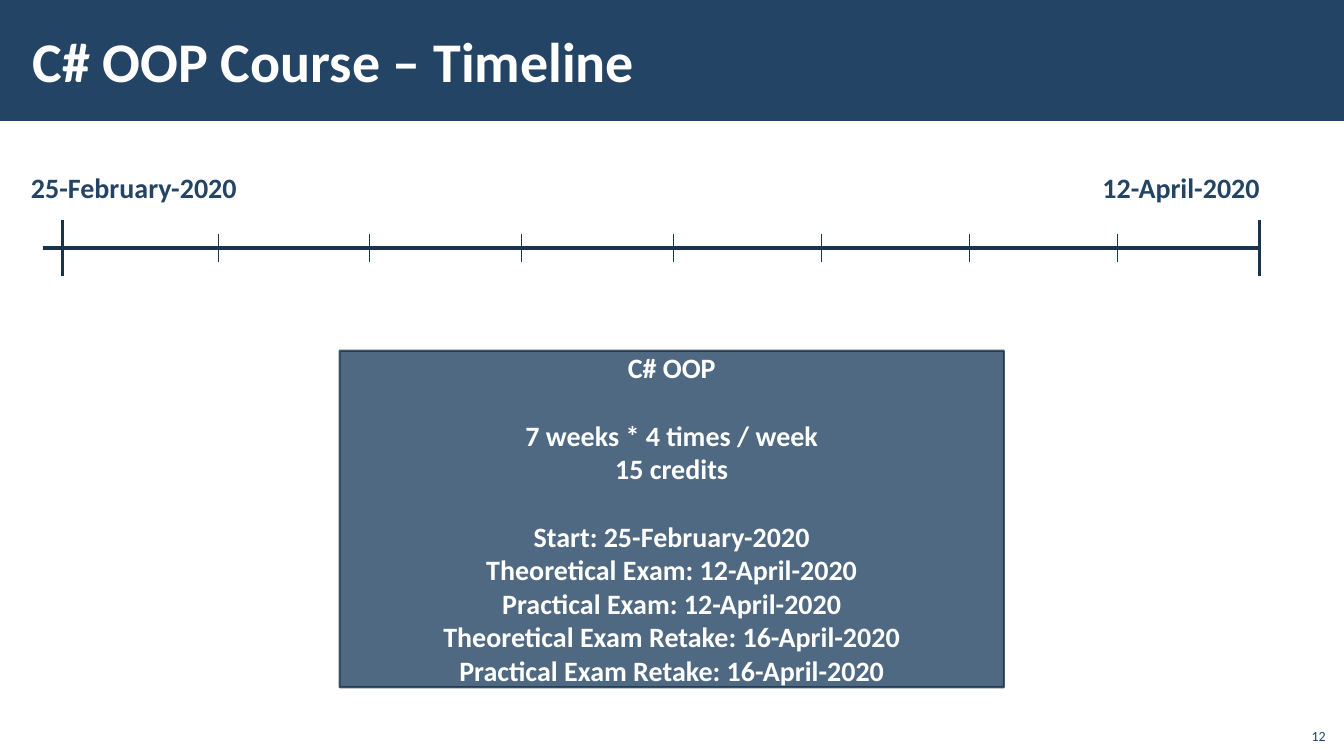
import pptx
import pptx.util
import pptx.dml.color
import pptx.enum.shapes
import pptx.enum.text
import pptx.oxml.ns
import lxml.etree

Cm = pptx.util.Cm
Pt = pptx.util.Pt
RGBColor = pptx.dml.color.RGBColor
Align = pptx.enum.text.PP_ALIGN
Anchor = pptx.enum.text.MSO_ANCHOR
RECTANGLE = pptx.enum.shapes.MSO_SHAPE.RECTANGLE
STRAIGHT = pptx.enum.shapes.MSO_CONNECTOR.STRAIGHT
qn = pptx.oxml.ns.qn

COLORS = {"navy": "234465", "line": "1A334C", "white": "FFFFFF"}


def write_text(shape, text, size=20, color="navy", bold=True,
               align=Align.LEFT, anchor=Anchor.TOP, gaps=()):
    """Fill a shape with one paragraph per line; lines numbered in gaps get space above."""
    frame = shape.text_frame
    frame.word_wrap = True
    frame.vertical_anchor = anchor
    for index, line in enumerate(text.split("\n")):
        paragraph = frame.paragraphs[0] if index == 0 else frame.add_paragraph()
        paragraph.alignment = align
        if index in gaps:
            paragraph.space_before = Pt(24)
        run = paragraph.add_run()
        run.text = line
        run.font.name = "Calibri"
        run.font.size = Pt(size)
        run.font.bold = bold
        run.font.color.rgb = RGBColor.from_string(COLORS[color])


presentation = pptx.Presentation()
presentation.slide_width = Cm(33.87)
presentation.slide_height = Cm(19.05)
slide = presentation.slides.add_slide(presentation.slide_layouts[6])
shapes = slide.shapes

# Title band
band = shapes.add_shape(RECTANGLE, 0, 0, presentation.slide_width, Cm(3.05))
band.shadow.inherit = False
band.fill.solid()
band.fill.fore_color.rgb = RGBColor.from_string(COLORS["navy"])
band.line.fill.background()

title = shapes.add_textbox(Cm(0.53), Cm(0.28), Cm(27), Cm(2.46))
title.text_frame.margin_left = title.text_frame.margin_right = Cm(0.3)
write_text(title, "C# OOP Course – Timeline", size=40, color="white",
           anchor=Anchor.MIDDLE)

# Dates at both ends of the timeline
for date, left, width, align in [
    ("25-February-2020", 0.53, 5.77, Align.LEFT),
    ("12-April-2020", 27.15, 4.85, Align.RIGHT),
]:
    label = shapes.add_textbox(Cm(left), Cm(4.17), Cm(width), Cm(1.11))
    write_text(label, date, align=align)

# Course card
card = shapes.add_shape(RECTANGLE, Cm(8.56), Cm(8.84), Cm(16.74), Cm(8.48))
card.shadow.inherit = False
card.fill.solid()
card.fill.fore_color.rgb = RGBColor.from_string(COLORS["navy"])
card.line.color.rgb = RGBColor.from_string(COLORS["line"])
card.line.width = Pt(1.5)
for color in card.element.spPr.iter(qn("a:srgbClr")):
    lxml.etree.SubElement(color, qn("a:alpha"), val="80000")
write_text(
    card,
    "C# OOP\n"
    "7 weeks * 4 times / week\n"
    "15 credits\n"
    "Start: 25-February-2020\n"
    "Theoretical Exam: 12-April-2020\n"
    "Practical Exam: 12-April-2020\n"
    "Theoretical Exam Retake: 16-April-2020\n"
    "Practical Exam Retake: 16-April-2020",
    color="white", align=Align.CENTER, anchor=Anchor.MIDDLE, gaps=(1, 3),
)

# Timeline: axis, end marks and week ticks as (x1, y1, x2, y2, width)
axis_y = 6.25
start_x, end_x = 1.57, 31.75
week_ticks = [5.51, 9.32, 13.13, 16.97, 20.7, 24.43, 28.17]
lines = [(1.09, axis_y, end_x, axis_y, 2.25)]
lines += [(x, axis_y - 0.71, x, axis_y + 0.71, 2.25) for x in (start_x, end_x)]
lines += [(x, axis_y - 0.35, x, axis_y + 0.35, 0.5) for x in week_ticks]
for x1, y1, x2, y2, width in lines:
    connector = shapes.add_connector(STRAIGHT, Cm(x1), Cm(y1), Cm(x2), Cm(y2))
    connector.line.color.rgb = RGBColor.from_string(COLORS["line"])
    connector.line.width = Pt(width)
    lxml.etree.SubElement(connector.element.spPr, qn("a:effectLst"))

page_number = shapes.add_textbox(Cm(32.64), Cm(18.08), Cm(1.02), Cm(0.81))
write_text(page_number, "12", size=10, bold=False, align=Align.RIGHT,
           anchor=Anchor.BOTTOM)

presentation.save("out.pptx")
